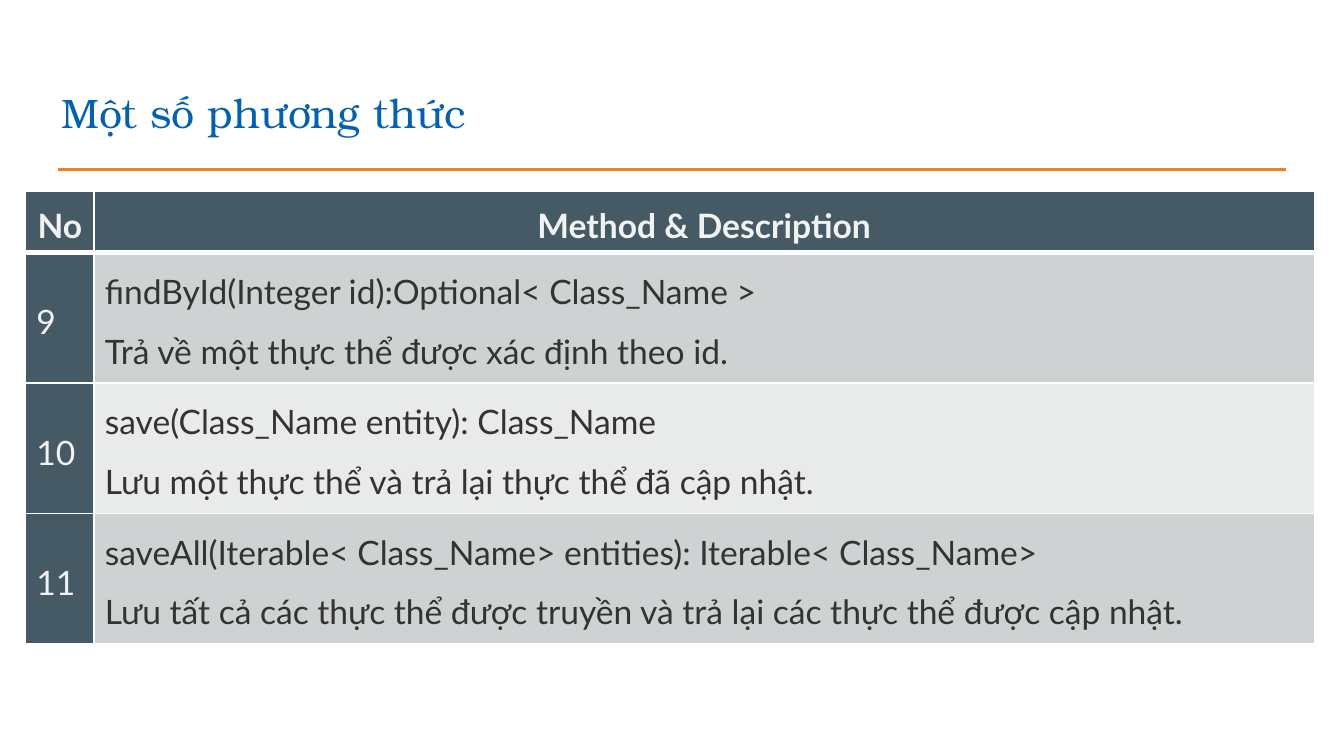
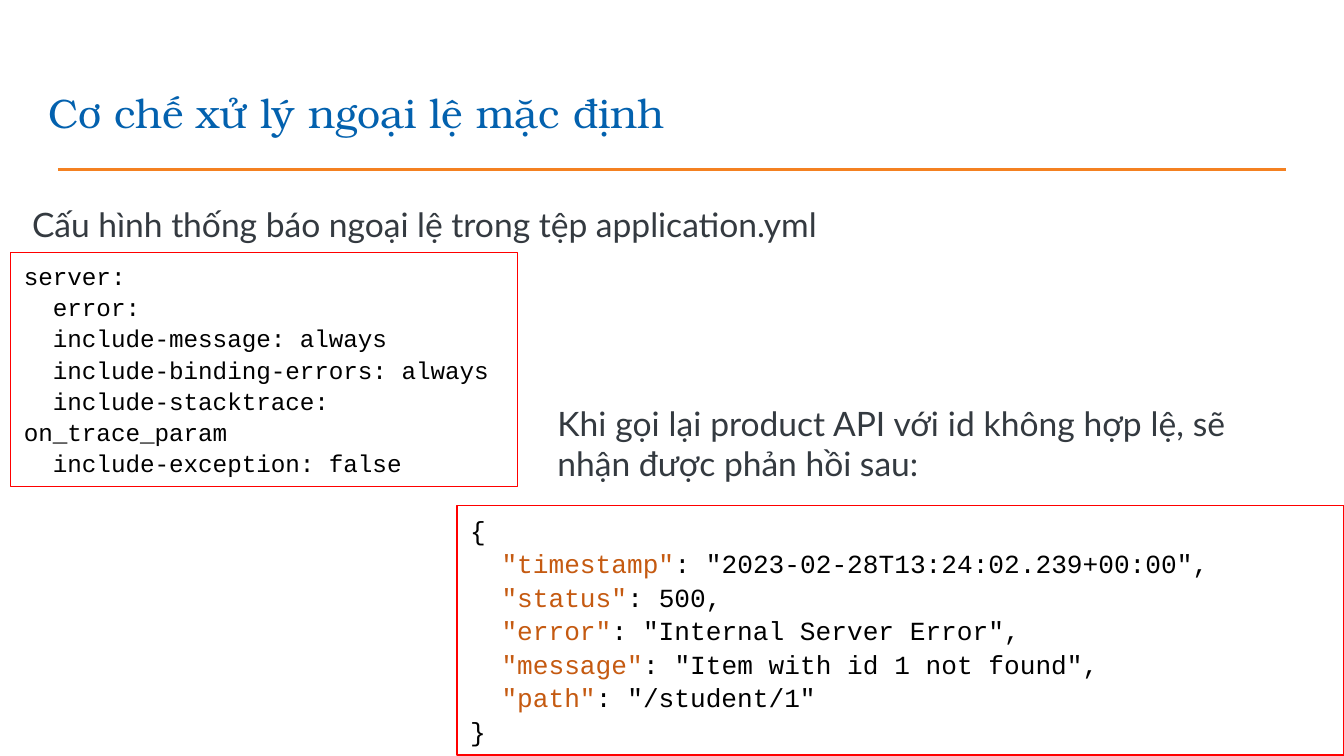
from dataclasses import dataclass

from lxml.etree import SubElement
from pptx import Presentation
from pptx.dml.color import RGBColor
from pptx.enum.shapes import MSO_CONNECTOR as Connector, MSO_SHAPE as Shape
from pptx.enum.text import MSO_ANCHOR as Anchor, MSO_AUTO_SIZE as AutoSize, PP_ALIGN as Align
from pptx.oxml.ns import qn
from pptx.util import Inches, Pt

GRID = 0.1  # inches in one grid column or row


@dataclass(frozen=True)
class Theme:
    title_font: str = "TeX Gyre Bonum"
    body_font: str = "Lato"
    code_font: str = "Courier New"
    title_size: float = 22
    body_size: float = 18
    yaml_size: float = 13
    json_size: float = 14
    title: str = "0361AE"
    rule: str = "F48121"
    body: str = "343A40"
    code: str = "000000"
    code_key: str = "C55A11"
    code_border: str = "FF0000"
    head_fill: str = "455A64"
    head_text: str = "F2F2F2"
    cell_text: str = "333333"
    bands: tuple = ("CFD2D3", "E9EAEA")
    cell_border: str = "FFFFFF"


@dataclass(frozen=True)
class Box:
    """An area in grid columns and rows."""
    col: float
    row: float
    cols: float
    rows: float

    def place(self):
        return [grid(n) for n in (self.col, self.row, self.cols, self.rows)]


THEME = Theme()
TITLE = Box(2.6, 4.9, 93.2, 6.3)
RULE = Box(4.3, 12.6, 91.4, 0)

METHODS = [
    ("9", "findById(Integer id):Optional< Class_Name >",
     "Trả về một thực thể được xác định theo id."),
    ("10", "save(Class_Name entity): Class_Name",
     "Lưu một thực thể và trả lại thực thể đã cập nhật."),
    ("11", "saveAll(Iterable< Class_Name> entities): Iterable< Class_Name>",
     "Lưu tất cả các thực thể được truyền và trả lại các thực thể được cập nhật."),
]

YAML_LINES = [
    "server:",
    "  error:",
    "  include-message: always",
    "  include-binding-errors: always",
    "  include-stacktrace: on_trace_param",
    "  include-exception: false",
]

RESPONSE = [
    ("timestamp", '"2023-02-28T13:24:02.239+00:00",'),
    ("status", "500,"),
    ("error", '"Internal Server Error",'),
    ("message", '"Item with id 1 not found",'),
    ("path", '"/student/1"'),
]


def grid(count):
    return Inches(count * GRID)


def rgb(colour):
    return RGBColor.from_string(colour)


# Text
def add_span(para, text, font, size, colour, bold=False):
    span = para.add_run()
    span.text = text
    span.font.name = font
    span.font.size = Pt(size)
    span.font.color.rgb = rgb(colour)
    span.font.bold = bold


def add_para(frame, index, align=Align.LEFT, spacing=1.0, gap=0):
    para = frame.add_paragraph() if index else frame.paragraphs[0]
    para.alignment = align
    para.line_spacing = spacing
    para.space_before = Pt(gap if index else 0)
    para.space_after = Pt(gap)
    return para


def add_body(page, box, text, spacing=1.0, gap=0):
    frame = page.shapes.add_textbox(*box.place()).text_frame
    frame.word_wrap = True
    frame.auto_size = AutoSize.SHAPE_TO_FIT_TEXT
    para = add_para(frame, 0, Align.JUSTIFY, spacing, gap)
    add_span(para, text, THEME.body_font, THEME.body_size, THEME.body)


# Title and the rule under it
def add_heading(deck, text, indent=0):
    page = deck.slides.add_slide(deck.slide_layouts[6])
    left, top, width, _ = RULE.place()
    rule = page.shapes.add_connector(Connector.STRAIGHT, left, top, left + width, top)
    rule.line.color.rgb = rgb(THEME.rule)
    rule.line.width = Pt(1.5)
    SubElement(rule._element.spPr, qn("a:effectLst"))

    frame = page.shapes.add_textbox(*TITLE.place()).text_frame
    frame.word_wrap = True
    frame.vertical_anchor = Anchor.BOTTOM
    frame.margin_left = grid(1 + indent)
    frame.margin_top = frame.margin_right = frame.margin_bottom = grid(1)
    add_span(add_para(frame, 0), text, THEME.title_font, THEME.title_size, THEME.title)
    return page


# Methods table
def set_borders(cell, bottom=1):
    props = cell._tc.get_or_add_tcPr()
    for side, width in (("L", 1), ("R", 1), ("T", 1), ("B", bottom)):
        line = SubElement(props, qn(f"a:ln{side}"), w=str(Pt(width)))
        fill = SubElement(line, qn("a:solidFill"))
        SubElement(fill, qn("a:srgbClr"), val=THEME.cell_border)


def fill_cell(cell, lines, fill, colour, head=False, anchor=Anchor.TOP):
    set_borders(cell, bottom=3 if head else 1)
    cell.fill.solid()
    cell.fill.fore_color.rgb = rgb(fill)
    cell.vertical_anchor = anchor
    inset = grid(0.5 if head else 0.8)
    cell.margin_left = cell.margin_right = cell.margin_top = cell.margin_bottom = inset
    for index, text in enumerate(lines):
        align = Align.CENTER if head else Align.JUSTIFY
        para = add_para(cell.text_frame, index, align, 1.2, 3)
        add_span(para, text, THEME.body_font, THEME.body_size, colour, head)


def add_methods_table(page, box, number_cols=5.1, head_rows=4.5):
    table = page.shapes.add_table(len(METHODS) + 1, 2, *box.place()).table
    table.columns[0].width = grid(number_cols)
    table.columns[1].width = grid(box.cols - number_cols)
    table.rows[0].height = grid(head_rows)
    for index, text in enumerate(("No", "Method & Description")):
        fill_cell(table.cell(0, index), [text], THEME.head_fill, THEME.head_text, head=True)
    for index, (number, *lines) in enumerate(METHODS):
        row = index + 1
        table.rows[row].height = grid((box.rows - head_rows) / len(METHODS))
        fill_cell(table.cell(row, 0), [number], THEME.head_fill, THEME.head_text,
                  anchor=Anchor.MIDDLE)
        band = THEME.bands[index % len(THEME.bands)]
        fill_cell(table.cell(row, 1), lines, band, THEME.cell_text)


# Framed code; each line is a list of (text, colour) pairs
def add_code(page, box, lines, size):
    panel = page.shapes.add_shape(Shape.RECTANGLE, *box.place())
    panel.shadow.inherit = False
    panel.fill.background()
    panel.line.color.rgb = rgb(THEME.code_border)
    panel.line.width = Pt(0.75)
    frame = panel.text_frame
    frame.word_wrap = True
    frame.auto_size = AutoSize.SHAPE_TO_FIT_TEXT
    frame.vertical_anchor = Anchor.TOP
    for index, line in enumerate(lines):
        para = add_para(frame, index, spacing=1.07)
        for text, colour in line:
            add_span(para, text, THEME.code_font, size, colour)


def json_lines():
    fields = [[(f'  "{key}"', THEME.code_key), (f": {value}", THEME.code)]
              for key, value in RESPONSE]
    return [[("{", THEME.code)], *fields, [("}", THEME.code)]]


# Slides
def build_methods(deck):
    page = add_heading(deck, "Một số phương thức", indent=1)
    add_methods_table(page, Box(1.9, 14.2, 95.9, 33.6))


def build_error_handling(deck):
    page = add_heading(deck, "Cơ chế xử lý ngoại lệ mặc định")
    add_body(page, Box(1.4, 14.1, 95.3, 4.6),
             "Cấu hình thống báo ngoại lệ trong tệp application.yml", 1.2, 6)
    add_code(page, Box(34, 37.6, 66, 18.6), json_lines(), THEME.json_size)
    add_code(page, Box(0.8, 18.8, 37.7, 17.4),
             [[(line, THEME.code)] for line in YAML_LINES], THEME.yaml_size)
    add_body(page, Box(40.5, 29.5, 51.7, 7.1),
             "Khi gọi lại product API với id không hợp lệ, sẽ nhận được phản hồi sau:")


def main():
    deck = Presentation()
    deck.slide_width, deck.slide_height = grid(100), grid(56.25)
    build_methods(deck)
    build_error_handling(deck)
    deck.save("out.pptx")


if __name__ == "__main__":
    main()
